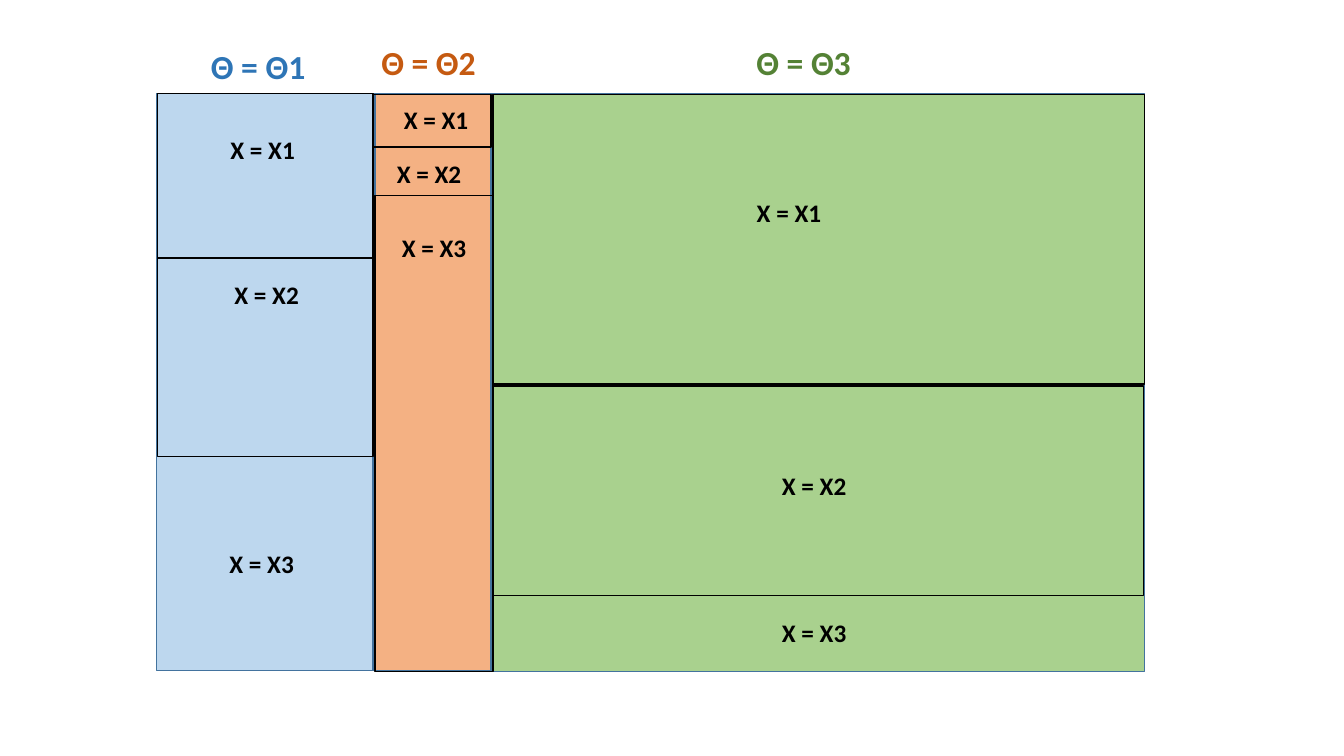
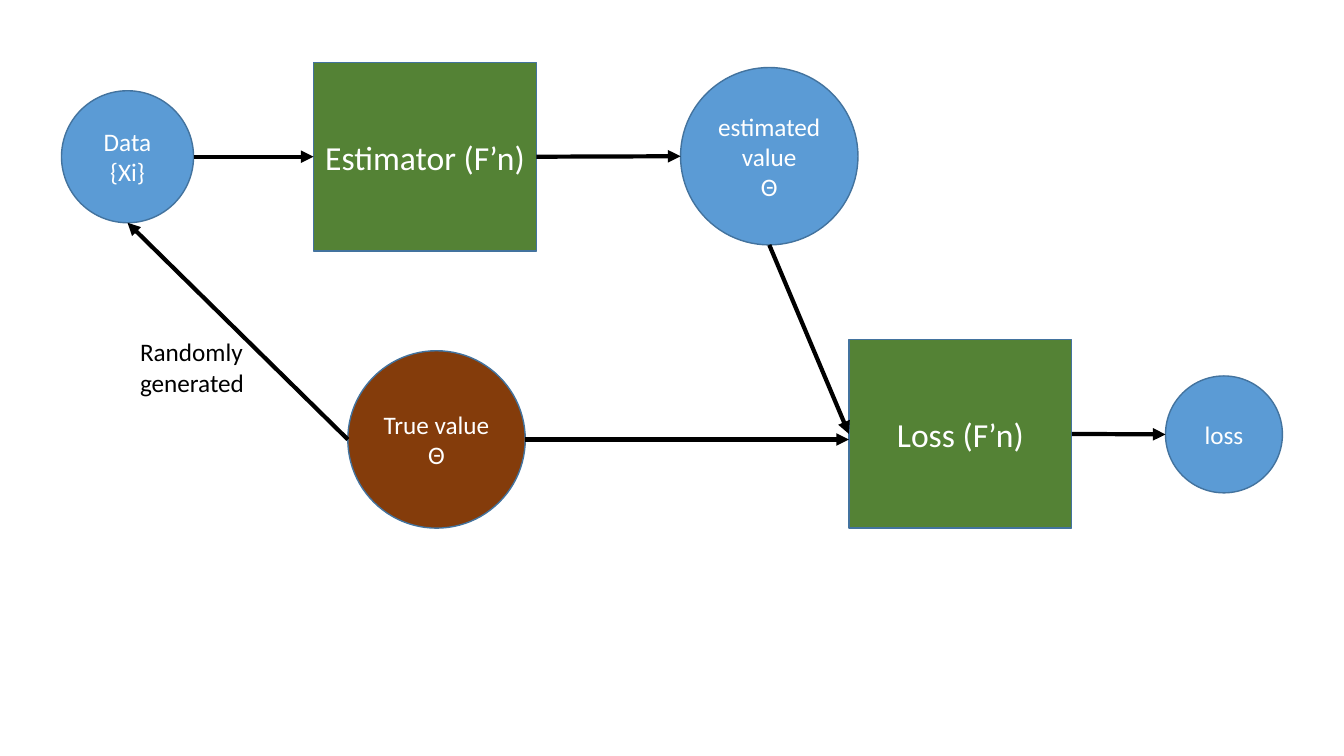
import pptx
import pptx.util
import pptx.dml.color
import pptx.enum.shapes
import pptx.enum.text
import pptx.oxml
import pptx.oxml.ns

SCALE = 9144  # EMU in one px, 100 px to the inch
KIND = pptx.enum.shapes.MSO_SHAPE
ALIGN = pptx.enum.text.PP_ALIGN
ANCHOR = pptx.enum.text.MSO_ANCHOR
FIT = pptx.enum.text.MSO_AUTO_SIZE

FONT = "Calibri"
BLACK, WHITE, EDGE = "000000", "FFFFFF", "43739E"
BLUE, GREEN, BROWN = "5B9BD5", "548235", "843C0B"

# Mosaic: one column for each theta, boxes as left, top, width, height
PANELS = [
    ((372, 93, 115, 572), "F4B183"),
    ((156, 93, 979, 572), None),
    ((155, 93, 215, 572), "BDD7EE"),
    ((487, 94, 648, 572), "A9D18E"),
]
CELLS = [
    (156, 93, 214, 163), (156, 256, 214, 197),
    (370, 94, 117, 52), (372, 194, 117, 472),
    (489, 94, 646, 287), (489, 383, 645, 208),
]
# Heading, its colour and place, then the places of the X labels
COLUMNS = [
    ("Θ = Θ1", "2E75B6", (195, 41), [(218, 128), (222, 272), (217, 539)]),
    ("Θ = Θ2", "C55A11", (364, 37), [(390, 99), (383, 152), (388, 226)]),
    ("Θ = Θ3", GREEN, (736, 37), [(740, 191), (765, 462), (765, 608)]),
]

# Flow chart: name -> kind, box, fill, text lines, text size
NODES = {
    "rule": (KIND.RECTANGLE, (311, 62, 221, 187), GREEN, ["Estimator (F’n)"], 24),
    "data": (KIND.OVAL, (61, 90, 131, 131), BLUE, ["Data {Xi}"], 18),
    "guess": (KIND.OVAL, (675, 67, 176, 176), BLUE, ["estimated value", "Θ"], 18),
    "loss": (KIND.OVAL, (1156, 373, 116, 116), BLUE, ["loss"], 18),
    "truth": (KIND.OVAL, (345, 348, 176, 176), BROWN, ["True value", "Θ"], 18),
    "cost": (KIND.RECTANGLE, (842, 337, 221, 187), GREEN, ["Loss (F’n)"], 24),
}
# Start node and side, end node and side
LINKS = [
    ("data", "right", "rule", "left"),
    ("rule", "right", "guess", "left"),
    ("truth", "left", "data", "bottom"),
    ("cost", "right", "loss", "left"),
    ("truth", "right", "cost", "left"),
    ("guess", "bottom", "cost", "left"),
]
SIDES = {"left": (0, 0.5), "right": (1, 0.5), "bottom": (0.5, 1)}
NOTE = ("Randomly generated", (129, 329, 125, 71))


def px(*vals):
    return [pptx.util.Emu(round(v * SCALE)) for v in vals]


def rgb(code):
    return pptx.dml.color.RGBColor.from_string(code)


def write(shape, lines, size, color, bold=False, align=ALIGN.CENTER, **frame):
    """Fill a text frame, one paragraph a line; frame holds its settings."""
    text = shape.text_frame
    for key, val in frame.items():
        setattr(text, key, val)
    text.text = "\n".join(lines)
    look = {"name": FONT, "size": pptx.util.Pt(size), "bold": bold}
    for para in text.paragraphs:
        para.alignment = align
        for key, val in look.items():
            setattr(para.font, key, val)
        para.font.color.rgb = rgb(color)


def block(slide, kind, box, fill, edge=EDGE):
    shape = slide.shapes.add_shape(kind, *px(*box))
    shape.shadow.inherit = False
    if fill:
        shape.fill.solid()
        shape.fill.fore_color.rgb = rgb(fill)
    else:
        shape.fill.background()
    shape.line.color.rgb = rgb(edge)
    shape.line.width = pptx.util.Pt(1)
    return shape


def label(slide, text, spot, size, color):
    """Bold unwrapped text with its top left corner at spot."""
    wide, high = (122, 50) if size == 24 else (85, 40)
    box = slide.shapes.add_textbox(*px(*spot, wide, high))
    write(box, [text], size, color, bold=True,
          word_wrap=False, auto_size=FIT.SHAPE_TO_FIT_TEXT)


def port(name, side):
    """Middle of one side of a node."""
    left, top, wide, high = NODES[name][1]
    across, down = SIDES[side]
    return left + wide * across, top + high * down


def arrow(slide, start, end):
    line = slide.shapes.add_connector(
        pptx.enum.shapes.MSO_CONNECTOR.STRAIGHT, *px(*start, *end))
    line.line.color.rgb = rgb(BLACK)
    line.line.width = pptx.util.Pt(3)
    qn = pptx.oxml.ns.qn
    props = line.line._get_or_add_ln()
    tip = props.makeelement(qn("a:tailEnd"), {"type": "triangle"})
    props.append(tip)
    props.addnext(props.makeelement(qn("a:effectLst"), {}))


def mosaic(slide):
    for box, fill in PANELS:
        block(slide, KIND.RECTANGLE, box, fill)
    for box in CELLS:
        block(slide, KIND.RECTANGLE, box, None, BLACK)
    for head, color, spot, marks in COLUMNS:
        label(slide, head, spot, 24, color)
        for num, mark in enumerate(marks, 1):
            label(slide, f"X = X{num}", mark, 18, BLACK)


def flow(slide):
    for kind, box, fill, lines, size in NODES.values():
        shape = block(slide, kind, box, fill)
        write(shape, lines, size, WHITE,
              word_wrap=True, vertical_anchor=ANCHOR.MIDDLE)
    for source, out, target, side in LINKS:
        start, end = port(source, out), port(target, side)
        if (source, target) == ("truth", "cost"):
            end = end[0], start[1]  # keep this arrow level
        arrow(slide, start, end)
    text, box = NOTE
    note = slide.shapes.add_textbox(*px(*box))
    write(note, [text], 18, BLACK, align=ALIGN.LEFT,
          word_wrap=True, auto_size=FIT.SHAPE_TO_FIT_TEXT)


def main():
    deck = pptx.Presentation()
    deck.slide_width, deck.slide_height = px(1333, 750)
    for draw in (mosaic, flow):
        draw(deck.slides.add_slide(deck.slide_layouts[6]))
    deck.save("out.pptx")


if __name__ == "__main__":
    main()
